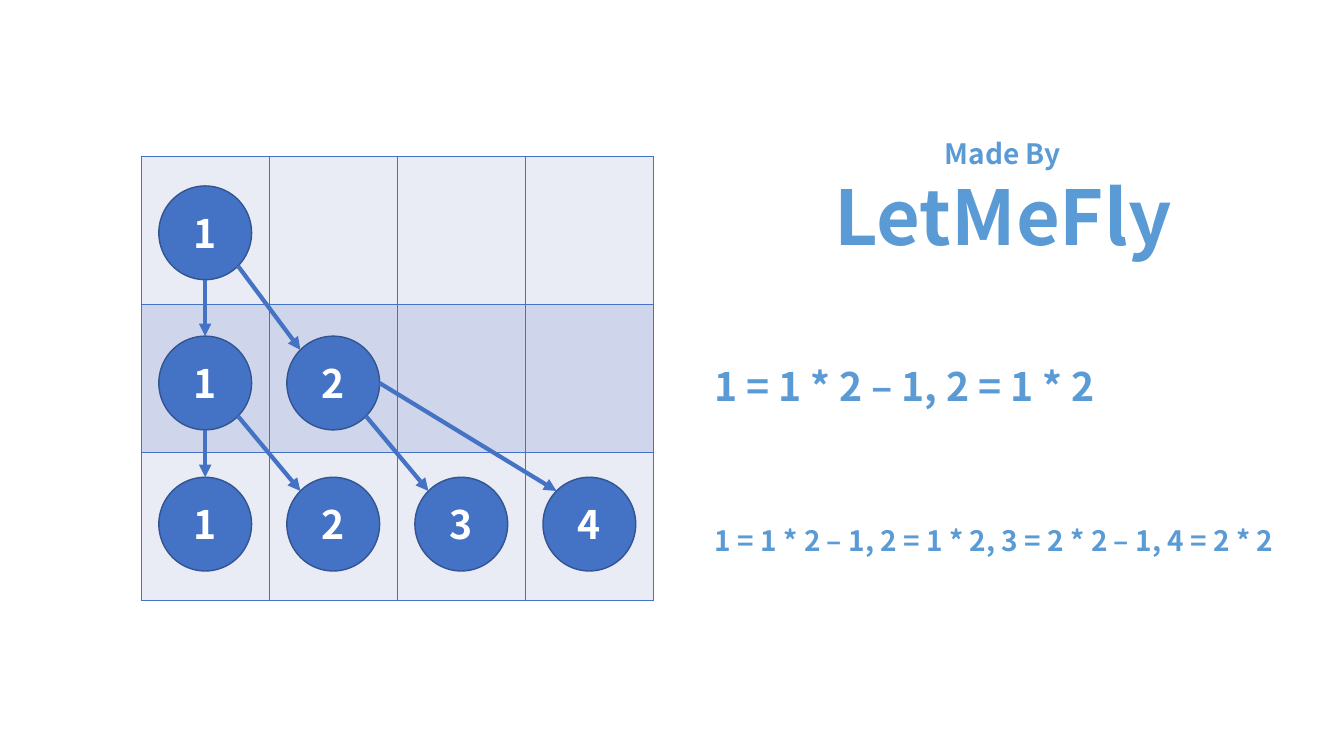
import math

import pptx
import pptx.dml.color
import pptx.enum.shapes
import pptx.enum.text
import pptx.oxml
import pptx.oxml.ns
import pptx.util
from pptx.util import Inches

RGBColor = pptx.dml.color.RGBColor
BLUE = RGBColor(0x44, 0x72, 0xC4)
DARK_BLUE = RGBColor(0x32, 0x54, 0x91)
SKY = RGBColor(0x5B, 0x9B, 0xD5)
WHITE = RGBColor(0xFF, 0xFF, 0xFF)
BANDS = (RGBColor(0xE9, 0xEB, 0xF5), RGBColor(0xCF, 0xD5, 0xEA))
FONT = "Noto Sans CJK SC"
NODE_WIDTH, NODE_HEIGHT = 0.92, 0.93
DIAGONAL = math.sqrt(0.5)
BOTTOM, BOTTOM_RIGHT, RIGHT = (0, 1), (DIAGONAL, DIAGONAL), (1, 0)
TOP, TOP_LEFT = (0, -1), (-DIAGONAL, -DIAGONAL)


def add_xml(parent, xml):
    namespace = pptx.oxml.ns.nsdecls("a")
    element = pptx.oxml.parse_xml(xml.replace(">", f" {namespace}>", 1))
    parent.append(element)
    return element


def add_run(paragraph, text, size, color):
    run = paragraph.add_run()
    run.text = text
    run.font.size = pptx.util.Pt(size)
    run.font.bold = True
    run.font.name = FONT
    run.font.color.rgb = color
    add_xml(run.font._element, f'<a:ea typeface="{FONT}"></a:ea>')
    return run


def add_grid(slide, left, top, width, height, rows=3, columns=4):
    grid = slide.shapes.add_table(
        rows, columns, Inches(left), Inches(top), Inches(width), Inches(height)
    ).table
    for row in range(rows):
        for column in range(columns):
            cell = grid.cell(row, column)
            properties = cell._tc.get_or_add_tcPr()
            for side in ("lnL", "lnR", "lnT", "lnB"):
                add_xml(
                    properties,
                    f'<a:{side} w="12700"><a:solidFill><a:srgbClr val="{BLUE}"/>'
                    f"</a:solidFill></a:{side}>",
                )
            cell.fill.solid()
            cell.fill.fore_color.rgb = BANDS[row % 2]


def add_node(slide, center, number):
    x, y = center
    node = slide.shapes.add_shape(
        pptx.enum.shapes.MSO_SHAPE.OVAL,
        Inches(x - NODE_WIDTH / 2), Inches(y - NODE_HEIGHT / 2),
        Inches(NODE_WIDTH), Inches(NODE_HEIGHT),
    )
    node.shadow.inherit = False
    node.fill.solid()
    node.fill.fore_color.rgb = BLUE
    node.line.color.rgb = DARK_BLUE
    node.line.width = pptx.util.Pt(1)
    node.text_frame.vertical_anchor = pptx.enum.text.MSO_ANCHOR.MIDDLE
    label = node.text_frame.paragraphs[0]
    label.alignment = pptx.enum.text.PP_ALIGN.CENTER
    add_run(label, str(number), 28, WHITE)


def rim_point(center, direction):
    return (
        Inches(center[0] + direction[0] * NODE_WIDTH / 2),
        Inches(center[1] + direction[1] * NODE_HEIGHT / 2),
    )


def add_arrow(slide, parent, parent_side, child, child_side):
    arrow = slide.shapes.add_connector(
        pptx.enum.shapes.MSO_CONNECTOR.STRAIGHT,
        *rim_point(parent, parent_side), *rim_point(child, child_side),
    )
    arrow.line.color.rgb = BLUE
    arrow.line.width = pptx.util.Pt(3)
    add_xml(arrow.line._get_or_add_ln(), '<a:tailEnd type="triangle"></a:tailEnd>')
    add_xml(arrow._element.spPr, "<a:effectLst></a:effectLst>")


def add_tree(slide, left, top, width, height):
    add_grid(slide, left, top, width, height)
    pitch = width / 4
    row_centers = [top + offset for offset in (0.76, 2.25, 3.65)]
    centers = {
        (row, column): (left + (column + 0.5) * pitch, row_centers[row])
        for row in range(3)
        for column in range(2**row)
    }
    for (row, column), center in centers.items():
        add_node(slide, center, column + 1)
    for (row, column), parent in centers.items():
        if row == 2:
            continue
        for child_column in (2 * column, 2 * column + 1):
            step = child_column - column
            parent_side = (BOTTOM, BOTTOM_RIGHT, RIGHT)[step]
            child_side = TOP_LEFT if step else TOP
            child = centers[row + 1, child_column]
            add_arrow(slide, parent, parent_side, child, child_side)


def add_caption(slide, left, top, width, height, lines, align):
    caption = slide.shapes.add_textbox(
        Inches(left), Inches(top), Inches(width), Inches(height)
    ).text_frame
    caption.word_wrap = False
    caption.auto_size = pptx.enum.text.MSO_AUTO_SIZE.SHAPE_TO_FIT_TEXT
    paragraph = caption.paragraphs[0]
    paragraph.alignment = align
    for index, (text, size) in enumerate(lines):
        if index:
            paragraph.add_line_break()
        add_run(paragraph, text, size, SKY)


def main():
    presentation = pptx.Presentation()
    presentation.slide_width = Inches(13.33)
    presentation.slide_height = Inches(7.5)
    slide = presentation.slides.add_slide(presentation.slide_layouts[6])
    add_tree(slide, 1.4, 1.55, 5.08, 4.41)
    align = pptx.enum.text.PP_ALIGN
    add_caption(slide, 7.69, 1.3, 4.51, 1.01,
                [("Made By", 20), ("LetMeFly", 54)], align.CENTER)
    add_caption(slide, 6.99, 3.55, 4.1, 0.57,
                [("1 = 1 * 2 – 1, 2 = 1 * 2", 28)], align.LEFT)
    add_caption(slide, 6.99, 5.14, 5.91, 0.44,
                [("1 = 1 * 2 – 1, 2 = 1 * 2, 3 = 2 * 2 – 1, 4 = 2 * 2", 20)],
                align.LEFT)
    presentation.save("out.pptx")


if __name__ == "__main__":
    main()
